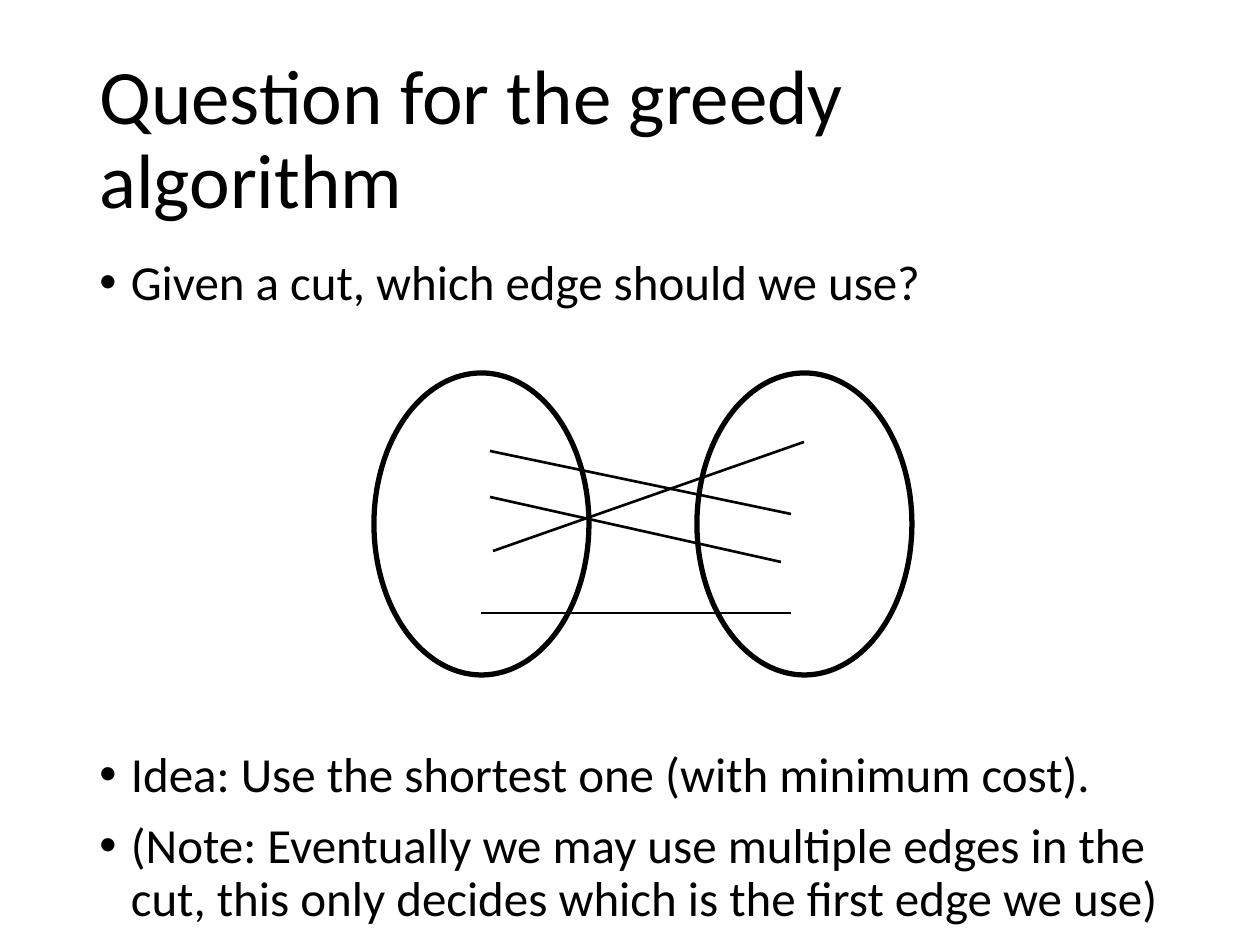
"""Build the slide on choosing a cut edge for the greedy algorithm."""
from lxml.etree import SubElement
from pptx import Presentation
from pptx.dml.color import RGBColor
from pptx.enum.shapes import MSO_CONNECTOR, MSO_SHAPE
from pptx.enum.text import MSO_ANCHOR
from pptx.oxml.ns import qn
from pptx.util import Emu, Pt

PX = 914400 // 126
INK = "000000"


def color(code):
    return RGBColor.from_string(code)


def write(box, lines, size):
    frame = box.text_frame
    frame.word_wrap = True
    frame.text = "\n".join(lines)
    for para in frame.paragraphs:
        para.line_spacing = 0.9
        for run in para.runs:
            run.font.name = "Calibri"
            run.font.size = Pt(size)
            run.font.color.rgb = color(INK)
    return frame


deck = Presentation()
deck.slide_width, deck.slide_height = Emu(1260 * PX), Emu(945 * PX)
slide = deck.slides.add_slide(deck.slide_layouts[6])
shapes = slide.shapes

title = shapes.add_textbox(87 * PX, 50 * PX, 1086 * PX, 183 * PX)
frame = write(title, ["Question for the greedy algorithm"], 44)
frame.vertical_anchor = MSO_ANCHOR.MIDDLE

body = shapes.add_textbox(87 * PX, 252 * PX, 1086 * PX, 693 * PX)
points = [
    "Given a cut, which edge should we use?",
    "Idea: Use the shortest one (with minimum cost).",
    "(Note: Eventually we may use multiple edges in the cut, "
    "this only decides which is the first edge we use)",
]
frame = write(body, points, 28)
for para, gap in zip(frame.paragraphs, [10, 251, 10]):
    para.space_before = Pt(gap)
    props = para._p.get_or_add_pPr()
    props.set("marL", "228600")
    props.set("indent", "-228600")
    SubElement(props, qn("a:buFont")).set("typeface", "Arial")
    SubElement(props, qn("a:buChar")).set("char", "•")

for left in (374, 697):
    side = shapes.add_shape(MSO_SHAPE.OVAL, left * PX, 373 * PX, 215 * PX, 302 * PX)
    side.shadow.inherit = False
    side.fill.background()
    side.line.color.rgb = color(INK)
    side.line.width = Pt(3)

edges = [
    (490, 451, 791, 514),
    (493, 551, 804, 442),
    (481, 613, 791, 613),
    (490, 497, 781, 562),
]
for ends in edges:
    edge = shapes.add_connector(MSO_CONNECTOR.STRAIGHT, *[n * PX for n in ends])
    edge.line.color.rgb = color(INK)
    edge.line.width = Pt(1.5)
    SubElement(edge._element.spPr, qn("a:effectLst"))

deck.save("out.pptx")
